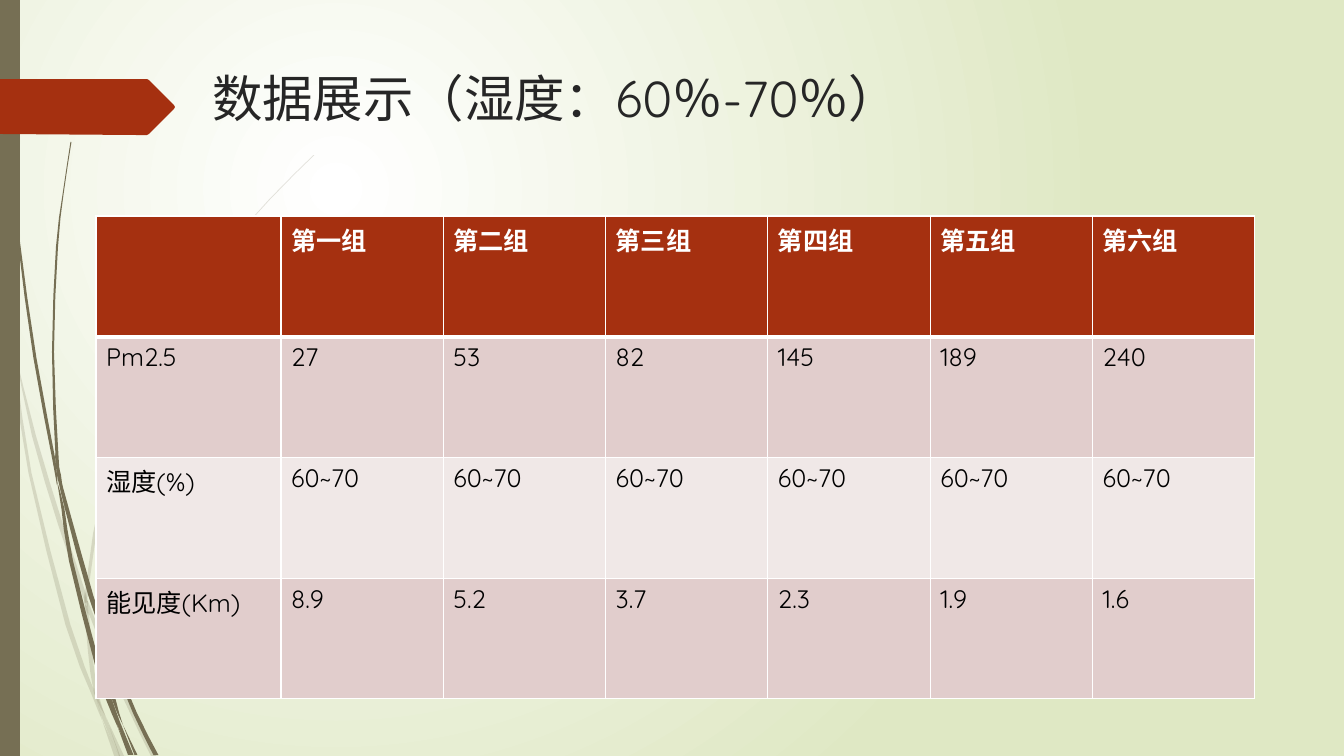
from lxml import etree
from pptx import Presentation
from pptx import util as u
from pptx.dml.color import RGBColor
from pptx.enum import shapes, text
from pptx.oxml.ns import qn

PX = 914400 / 100.8
INK = {"moss": "766F54", "rust": "A53010", "title": "262626", "black": "000000",
       "white": "FFFFFF", "lime": "DFE8C4", "rose": "E1CDCC", "pale": "F0E8E7"}

# Grass blades: points along the spine as (x, y, width)
FAINT = [
    [(0, 284, 0), (2, 301, 4), (9, 335, 2), (11, 353, 0)],
    [(14, 348, 0), (34, 436, 4), (61, 526, 5), (83, 591, 4), (85, 604, 0)],
    [(88, 601, 0), (91, 614, 4), (126, 699, 5), (154, 757, 5)],
    [(106, 717, 0), (122, 757, 5)],
    [(11, 353, 0), (16, 379, 3), (30, 473, 3), (68, 625, 5), (93, 693, 4),
     (102, 720, 0)],
    [(85, 604, 0), (87, 613, 4), (90, 651, 4), (96, 693, 4), (106, 717, 0)],
    [(314, 155, 1), (270, 199, 1), (230, 247, 1), (160, 351, 2), (109, 465, 3),
     (87, 589, 3), (88, 601, 0)],
    [(102, 720, 0), (117, 757, 5)],
    [(85, 591, 0), (86, 602, 4), (88, 615, 0)],
    [(94, 688, 0), (104, 718, 4), (120, 757, 1)],
]
DARK = [
    [(3, 0, 1), (7, 111, 1), (18, 234, 2), (35, 358, 3), (54, 460, 3),
     (57, 485, 0)],
    [(60, 476, 0), (67, 509, 4), (91, 596, 5), (105, 637, 4), (107, 650, 0)],
    [(111, 646, 0), (113, 658, 3), (135, 713, 4), (156, 755, 5)],
    [(57, 481, 0), (63, 509, 3), (71, 561, 4), (97, 663, 5), (108, 697, 6),
     (118, 728, 0)],
    [(71, 142, 1), (63, 195, 1), (57, 247, 2), (53, 352, 2), (57, 455, 3),
     (60, 476, 0)],
    [(123, 725, 0), (136, 755, 3)],
    [(55, 453, 0), (59, 475, 4), (65, 509, 0)],
    [(263, 347, 1), (233, 377, 1), (206, 409, 1), (158, 479, 2), (125, 556, 3),
     (109, 637, 4), (111, 646, 0)],
    [(118, 728, 0), (130, 755, 4)],
    [(107, 650, 0), (109, 660, 5), (113, 697, 4), (123, 725, 0)],
    [(107, 636, 0), (109, 648, 4), (112, 661, 0)],
    [(111, 697, 0), (118, 722, 4), (132, 755, 3)],
]
TAB = [(0, 79), (147, 79), (149, 80), (174, 105), (175, 107), (174, 109),
       (149, 134), (147, 135), (137, 135), (0, 134)]
ROWS = [
    ["", "第一组", "第二组", "第三组", "第四组", "第五组", "第六组"],
    ["Pm2.5", "27", "53", "82", "145", "189", "240"],
    ["湿度(%)"] + ["60~70"] * 6,
    ["能见度(Km)", "8.9", "5.2", "3.7", "2.3", "1.9", "1.6"],
]


def emu(px):
    return u.Emu(round(px * PX))


def rgb(name):
    return RGBColor.from_string(INK[name])


def put(frame, words, size=18, color="black", bold=False, font="Quicksand"):
    par = frame.paragraphs[0]
    par.alignment = text.PP_ALIGN.LEFT
    run = par.add_run()
    run.text = words
    run.font.size = u.Pt(size)
    run.font.bold = bold
    run.font.name = font
    run.font.color.rgb = rgb(color)


def curve(knots, steps=2):
    """Smooth points through the knots (Catmull-Rom)."""
    ends = [knots[0], *knots, knots[-1]]
    for a, b, c, d in zip(ends, ends[1:], ends[2:], ends[3:]):
        for i in range(steps):
            t = i / steps
            yield [q + t / 2 * (r - p + t * (2 * p - 5 * q + 4 * r - s
                                             + t * (3 * q - p - 3 * r + s)))
                   for p, q, r, s in zip(a, b, c, d)]
    yield knots[-1]


class Deck:
    def __init__(self):
        self.prs = Presentation()
        self.prs.slide_width, self.prs.slide_height = emu(1344), emu(756)
        self.slide = self.prs.slides.add_slide(self.prs.slide_layouts[5])
        self.shapes = self.slide.shapes

    def glow(self, inner, outer):
        fill = self.slide.background.fill
        fill.gradient()
        for stop, name in zip(fill.gradient_stops, (inner, outer)):
            stop.color.rgb = rgb(name)
        grad = self.slide.element.find(".//" + qn("a:gradFill"))
        grad.remove(grad.find(qn("a:lin")))
        ring = etree.SubElement(grad, qn("a:path"), path="circle")
        etree.SubElement(ring, qn("a:fillToRect"),
                         l="50000", t="50000", r="100000", b="100000")

    def paint(self, shape, color, alpha=100):
        shape.shadow.inherit = False
        shape.line.fill.background()
        shape.fill.solid()
        shape.fill.fore_color.rgb = rgb(color)
        if alpha < 100:
            tone = shape.element.spPr.find(".//" + qn("a:srgbClr"))
            etree.SubElement(tone, qn("a:alpha"), val=str(alpha * 1000))

    def outline(self, home, spots, color, alpha=100):
        first, *rest = [(emu(x), emu(y)) for x, y in spots]
        pen = home.build_freeform(*first, scale=1.0)
        pen.add_line_segments(rest, close=True)
        self.paint(pen.convert_to_shape(), color, alpha)

    def tuft(self, blades, color, alpha=100):
        home = self.shapes.add_group_shape().shapes
        for knots in blades:
            spine = list(curve(knots))
            left = [(x - w / 2, y) for x, y, w in spine]
            right = [(x + w / 2, y) for x, y, w in spine]
            self.outline(home, left + right[::-1], color, alpha)

    def block(self, x, y, w, h, color):
        shape = self.shapes.add_shape(shapes.MSO_SHAPE.RECTANGLE,
                                      emu(x), emu(y), emu(w), emu(h))
        self.paint(shape, color)

    def title(self, words, x, y, w, h):
        box = self.shapes.title
        box.left, box.top, box.width, box.height = map(emu, (x, y, w, h))
        frame = box.text_frame
        frame.word_wrap = True
        frame.auto_size = text.MSO_AUTO_SIZE.NONE
        frame.vertical_anchor = text.MSO_ANCHOR.TOP
        put(frame, words, size=36, color="title")
        self.shapes.element.append(box.element)

    def edge(self, cell, side, width):
        line = etree.SubElement(cell._tc.get_or_add_tcPr(), qn("a:ln" + side),
                                w=str(u.Pt(width)))
        fill = etree.SubElement(line, qn("a:solidFill"))
        etree.SubElement(fill, qn("a:srgbClr"), val=INK["white"])

    def table(self, rows, x, y, w, h, first):
        count = len(rows[0])
        grid = self.shapes.add_table(len(rows), count, emu(x), emu(y),
                                     emu(w), emu(h)).table
        grid.horz_banding = False
        for c, col in enumerate(grid.columns):
            col.width = emu((w - first) / (count - 1) if c else first)
        for r, row in enumerate(rows):
            grid.rows[r].height = emu(h / len(rows))
            for c, words in enumerate(row):
                cell = grid.cell(r, c)
                for side in "LRTB":
                    thick = (r, side) in ((0, "B"), (1, "T"))
                    self.edge(cell, side, 3 if thick else 1)
                cell.fill.solid()
                tone = "rust" if r == 0 else "rose" if r % 2 else "pale"
                cell.fill.fore_color.rgb = rgb(tone)
                if words:
                    put(cell.text_frame, words, bold=r == 0,
                        color="black" if r else "white")


def main():
    deck = Deck()
    # Backdrop
    deck.glow("white", "lime")
    deck.tuft(FAINT, "moss", alpha=20)
    deck.tuft(DARK, "moss")
    # Side band and arrow tab
    deck.block(0, 0, 20, 756, "moss")
    deck.outline(deck.shapes, TAB, "rust")
    # Title and data
    deck.title("数据展示（湿度：60％-70％）", 202, 62, 983, 141)
    deck.table(ROWS, 96, 216, 1159, 483, first=185)
    deck.prs.save("out.pptx")


if __name__ == "__main__":
    main()
